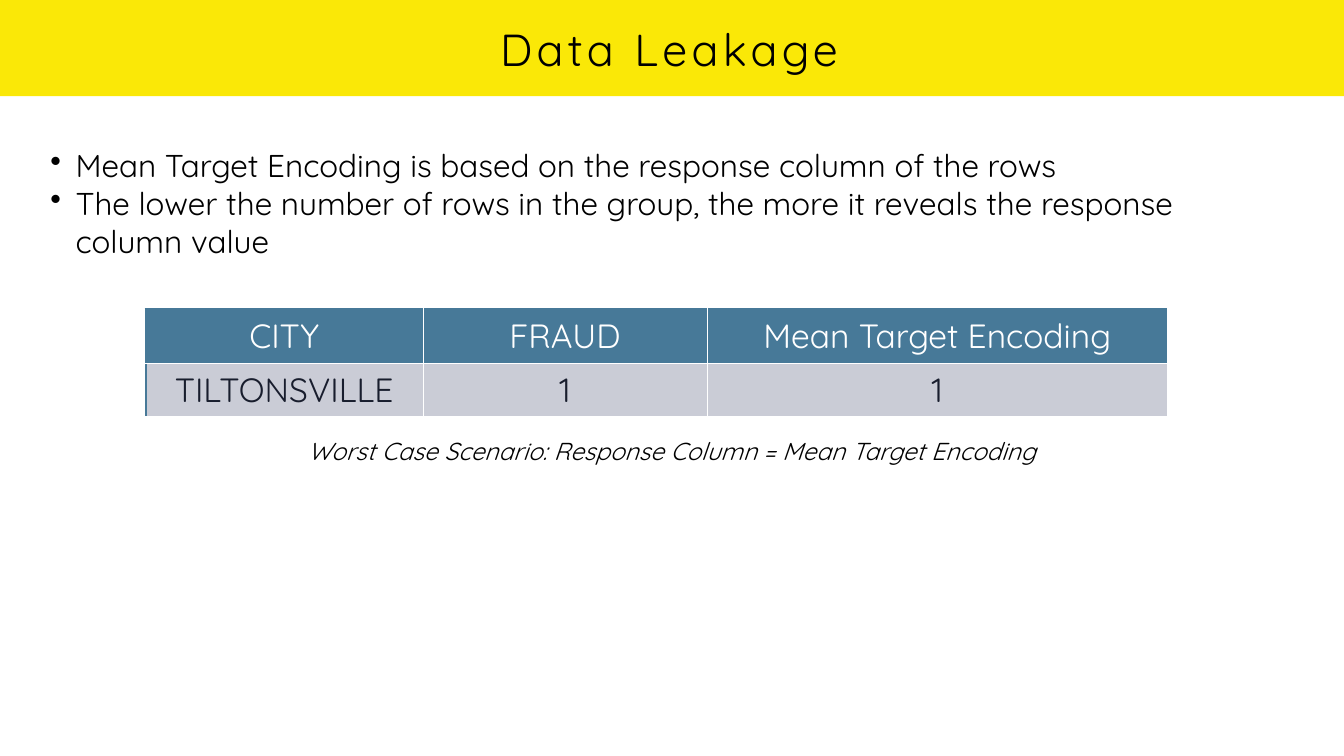
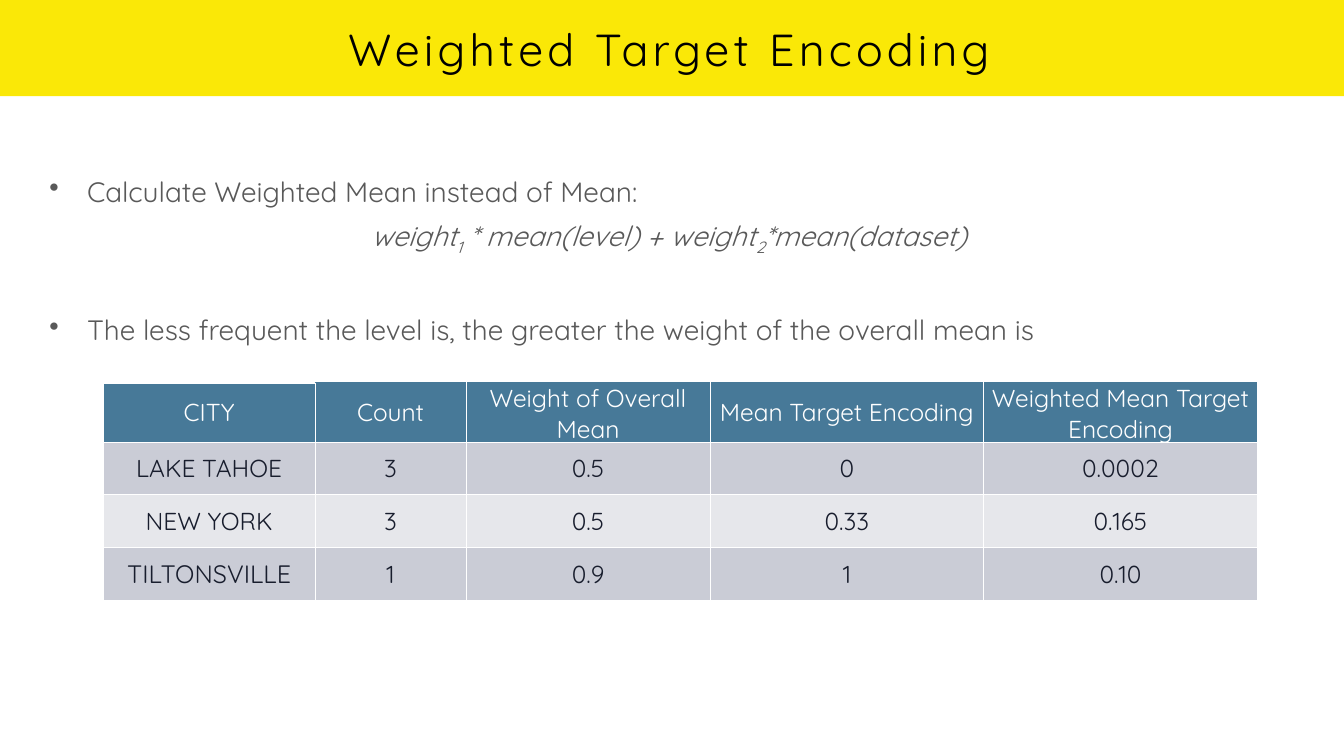
from dataclasses import dataclass

from lxml import etree
from pptx import Presentation
from pptx import util as u
from pptx.dml import color as dml
from pptx.enum import shapes, text
from pptx.oxml import ns


@dataclass(frozen=True)
class Theme:
    """Colours, font and type sizes of the deck."""
    face: str = "Quicksand"
    band: str = "FAE807"
    ink: str = "000000"
    soft: str = "595959"
    head: str = "477998"
    cell: str = "181D2D"
    white: str = "FFFFFF"
    rows: tuple = ("CACCD6", "E6E7EB")
    title: int = 64
    list: int = 45
    body: int = 40
    note: int = 35
    grid: int = 48


CENTER = text.PP_ALIGN.CENTER
MIDDLE = text.MSO_ANCHOR.MIDDLE


def rgb(tint):
    return dml.RGBColor.from_string(tint)


def apply(item, **vals):
    for name, val in vals.items():
        setattr(item, name, val)


def margins(item, size):
    gap = u.Inches(size)
    apply(item, margin_left=gap, margin_top=gap, margin_right=gap, margin_bottom=gap)


def bullet(para, indent):
    props = para._p.get_or_add_pPr()
    props.set("marL", str(u.Inches(indent)))
    props.set("indent", str(-u.Inches(indent)))
    etree.SubElement(props, ns.qn("a:buChar")).set("char", "•")


def edge(cell, lines):
    """Draw cell borders from {side: (colour, points)}."""
    props = cell._tc.get_or_add_tcPr()
    order = [side for side in "LRTB" if side in lines]
    for spot, side in enumerate(order):
        tint, width = lines[side]
        line = etree.Element(ns.qn(f"a:ln{side}"), w=str(u.Pt(width)))
        fill = etree.SubElement(line, ns.qn("a:solidFill"))
        etree.SubElement(fill, ns.qn("a:srgbClr")).set("val", tint)
        props.insert(spot, line)


class Deck:
    def __init__(self, theme):
        self.theme = theme
        self.prs = Presentation()
        apply(self.prs, slide_width=u.Inches(26.67), slide_height=u.Inches(15))
        self.slide = None

    def place(self, item, box):
        names = ("left", "top", "width", "height")
        apply(item, **dict(zip(names, map(u.Inches, box))))

    def run(self, para, words, size, tint, **vals):
        run = para.add_run()
        run.text = words
        apply(run.font, name=self.theme.face, size=u.Pt(size), **vals)
        run.font.color.rgb = rgb(tint)
        return run

    def page(self, words):
        """Start a slide with its band and title."""
        th = self.theme
        self.slide = self.prs.slides.add_slide(self.prs.slide_layouts[5])
        title = self.slide.shapes.title
        self.place(title, (0.6, -0.01, 25.36, 1.93))
        frame = title.text_frame
        apply(frame, word_wrap=True, auto_size=text.MSO_AUTO_SIZE.NONE,
              vertical_anchor=MIDDLE)
        margins(frame, 0.1)
        para = frame.paragraphs[0]
        para.alignment = CENTER
        run = self.run(para, words, th.title, th.ink)
        run.font._element.set("spc", "600")

        band = self.slide.shapes.add_shape(
            shapes.MSO_SHAPE.RECTANGLE,
            *map(u.Inches, (-0.01, 0, 26.69, 1.91)))
        band.shadow.inherit = False
        band.fill.solid()
        band.fill.fore_color.rgb = rgb(th.band)
        band.line.fill.background()
        title.element.addprevious(band.element)

    def frame(self, box, inset, **vals):
        frame = self.slide.shapes.add_textbox(*map(u.Inches, box)).text_frame
        apply(frame, **{"word_wrap": True, **vals})
        margins(frame, inset)
        return frame

    def para(self, frame, first=False, indent=0, **vals):
        para = frame.paragraphs[0] if first else frame.add_paragraph()
        apply(para, **vals)
        if indent:
            bullet(para, indent)
        return para

    def table(self, box, cols, data, size, framed=False):
        """Add a banded table; framed draws the accent edge on the left too."""
        th = self.theme
        table = self.slide.shapes.add_table(
            len(data), len(cols), *map(u.Inches, box)).table
        for col, width in zip(table.columns, cols):
            col.width = u.Inches(width)
        for r, (row, words) in enumerate(zip(table.rows, data)):
            row.height = u.Inches(1.05 if r else 1.08)
            for c, word in enumerate(words):
                cell = table.cell(r, c)
                cell.vertical_anchor = MIDDLE
                margins(cell, 0)
                cell.fill.solid()
                cell.fill.fore_color.rgb = rgb(
                    th.rows[(r - 1) % 2] if r else th.head)
                para = cell.text_frame.paragraphs[0]
                para.alignment = CENTER
                self.run(para, word, size, th.cell if r else th.white, bold=False)

                thin, thick, accent = (th.white, 1), (th.white, 2), (th.head, 3)
                lines = {"L": thin if c else accent,
                         "T": thin if r else accent,
                         "R": thick if c == len(cols) - 1 else thin,
                         "B": thick if r == len(data) - 1 else thin}
                if not framed and c == 0:
                    del lines["L"]
                    if r == 0:
                        del lines["T"]
                edge(cell, lines)
        return table


def leakage(deck):
    th = deck.theme
    deck.page("Data Leakage")

    # Result table
    deck.table((2.89, 6.13, 20.28, 2.13), (5.5, 5.64, 9.14),
               [("CITY", "FRAUD", "Mean Target Encoding"),
                ("TILTONSVILLE", "1", "1")], th.grid, framed=True)

    # Key points
    grow = {"auto_size": text.MSO_AUTO_SIZE.SHAPE_TO_FIT_TEXT,
            "vertical_anchor": MIDDLE}
    frame = deck.frame((0.94, 2.83, 24.67, 2.38), 0.06, **grow)
    points = ("Mean Target Encoding is based on the response column of the rows",
              "The lower the number of rows in the group, the more it reveals "
              "the response column value")
    for i, point in enumerate(points):
        para = deck.para(frame, first=i == 0, indent=0.5)
        deck.run(para, point, th.list, th.ink)

    # Caption
    frame = deck.frame((6.05, 8.6, 14.76, 0.7), 0.06, **{**grow, "word_wrap": False})
    deck.run(frame.paragraphs[0],
             "Worst Case Scenario: Response Column = Mean Target Encoding",
             th.note, th.ink, italic=True)


def weighted(deck):
    th = deck.theme
    deck.page("Weighted Target Encoding")

    # Method and formula
    frame = deck.frame((0.88, 3.36, 24.79, 10.83), 0.1)
    para = deck.para(frame, first=True, indent=0.75, space_before=u.Pt(15))
    deck.run(para, "Calculate Weighted Mean instead of Mean:", th.body, th.soft)
    para = deck.para(frame, alignment=CENTER, space_before=u.Pt(15))
    for part in ("weight", "1", " * mean(level) + weight", "2", "*mean(dataset)"):
        run = deck.run(para, part, th.body, th.soft, italic=True)
        if part.isdigit():
            run.font._element.set("baseline", "-25000")
    para = deck.para(frame, indent=0.75, space_before=u.Pt(80))
    deck.run(para, "The less frequent the level is, the greater the weight "
             "of the overall mean is", th.body, th.soft)

    # Weights by city
    table = deck.table(
        (2.05, 7.6, 22.9, 4.23), (4.2, 3, 4.84, 5.43, 5.43),
        [("CITY", "Count", "Weight of Overall Mean", "Mean Target Encoding",
          "Weighted Mean Target Encoding"),
         ("LAKE TAHOE", "3", "0.5", "0", "0.0002"),
         ("NEW YORK", "3", "0.5", "0.33", "0.165"),
         ("TILTONSVILLE", "1", "0.9", "1", "0.10")], th.note)
    table.cell(3, 0).text_frame.paragraphs[0].runs[0].font.size = u.Pt(th.note + 1)


def main():
    deck = Deck(Theme())
    leakage(deck)
    weighted(deck)
    deck.prs.save("out.pptx")


if __name__ == "__main__":
    main()
